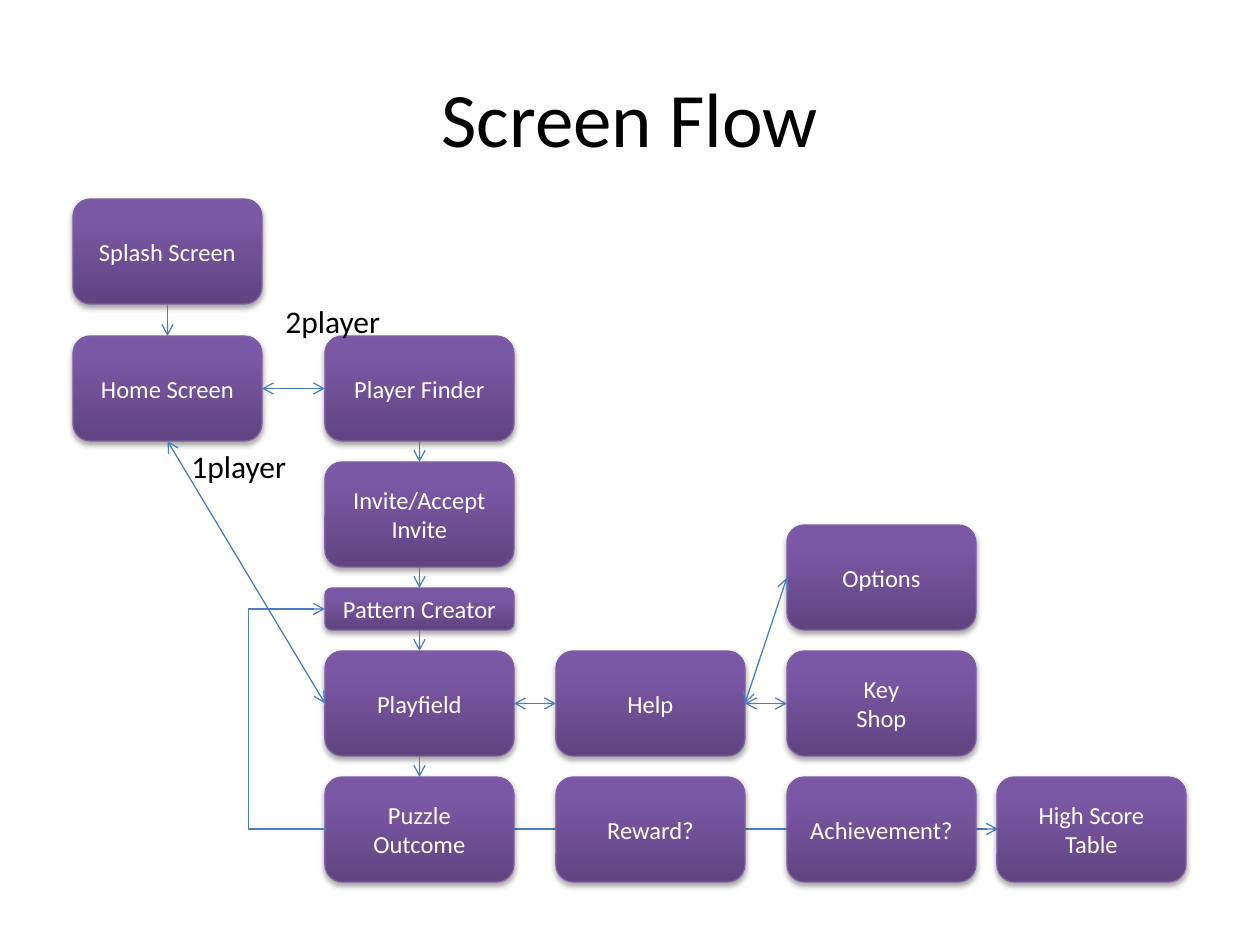
"""Build the Screen Flow slide: a grid of game screens joined by arrows."""
import pptx
import pptx.util
import pptx.dml.color
import pptx.enum.shapes
import pptx.enum.text
import pptx.oxml
import pptx.oxml.ns
import lxml.etree

PX = 914400 // 126
COLORS = {"dark": "5F4480", "mid": "7B58A6", "light": "7C57A8", "edge": "7D60A0",
          "arrow": "4B7EBC", "black": "000000", "white": "FFFFFF"}
RGB = {k: pptx.dml.color.RGBColor.from_string(v) for k, v in COLORS.items()}
NS = 'xmlns:a="http://schemas.openxmlformats.org/drawingml/2006/main"'
STOPS = "".join(f'<a:gs pos="{pos}"><a:srgbClr val="{COLORS[c]}"/></a:gs>'
                for pos, c in ((0, "dark"), (80000, "mid"), (100000, "light")))
GRADIENT = f'<a:gradFill {NS} rotWithShape="1"><a:gsLst>{STOPS}</a:gsLst><a:lin ang="16200000" scaled="0"/></a:gradFill>'
SHADOW = (f'<a:effectLst {NS}><a:outerShdw blurRad="40000" dist="23000" dir="5400000" rotWithShape="0">'
          f'<a:srgbClr val="{COLORS["black"]}"><a:alpha val="35000"/></a:srgbClr></a:outerShdw></a:effectLst>')
ALIGN = pptx.enum.text.PP_ALIGN
MIDDLE = pptx.enum.text.MSO_ANCHOR.MIDDLE
LINE = pptx.enum.shapes.MSO_CONNECTOR
TOP, LEFT, BOTTOM, RIGHT = range(4)

prs = pptx.Presentation()
prs.slide_width, prs.slide_height = pptx.util.Inches(10), pptx.util.Inches(7.5)
s = prs.slides.add_slide(prs.slide_layouts[6])


def write(sp, text, size, color, align):
    tf = sp.text_frame
    tf.word_wrap = True
    tf.text = text
    for p in tf.paragraphs:
        p.alignment = align
        p.font.name, p.font.size = "Calibri", pptx.util.Pt(size)
        p.font.color.rgb = RGB[color]
    return tf


def add_arrow(kind, x1, y1, x2, y2, both=False):
    c = s.shapes.add_connector(kind, x1 * PX, y1 * PX, x2 * PX, y2 * PX)
    c.line.color.rgb = RGB["arrow"]
    c.line.width = pptx.util.Pt(0.75)
    ln = c.line._get_or_add_ln()
    for end in ("headEnd", "tailEnd") if both else ("tailEnd",):
        lxml.etree.SubElement(ln, pptx.oxml.ns.qn("a:" + end), type="arrow")
    lxml.etree.SubElement(c._element.spPr, pptx.oxml.ns.qn("a:effectLst"))
    return c


add_arrow(LINE.STRAIGHT, 514, 829, 998, 829)

title = s.shapes.add_textbox(63 * PX, 38 * PX, 1134 * PX, 157 * PX)
write(title, "Screen Flow", 44, "black", ALIGN.CENTER).vertical_anchor = MIDDLE

BOX_W, BOX_H = 189, 105
COLS = (73, 325, 556, 787, 997)
ROWS = {"splash": 199, "home": 336, "invite": 462, "options": 525,
        "pattern": 588, "play": 651, "outcome": 777}
screens = [
    ("Home Screen", 0, "home"), ("Splash Screen", 0, "splash"),
    ("Player Finder", 1, "home"), ("Playfield", 1, "play"),
    ("Puzzle\nOutcome", 1, "outcome"), ("High Score Table", 4, "outcome"),
    ("Achievement?", 3, "outcome"), ("Reward?", 2, "outcome"),
    ("Help", 2, "play"), ("Key\nShop", 3, "play"), ("Options", 3, "options"),
    ("Invite/Accept Invite", 1, "invite"), ("Pattern Creator", 1, "pattern"),
]
boxes = {}
for text, col, row in screens:
    h = 42 if row == "pattern" else BOX_H
    sp = s.shapes.add_shape(pptx.enum.shapes.MSO_SHAPE.ROUNDED_RECTANGLE,
                            COLS[col] * PX, ROWS[row] * PX, BOX_W * PX, h * PX)
    sp.line.color.rgb = RGB["edge"]
    sp.line.width = pptx.util.Pt(0.75)
    ln = sp.line._get_or_add_ln()
    ln.addprevious(pptx.oxml.parse_xml(GRADIENT))
    ln.addnext(pptx.oxml.parse_xml(SHADOW))
    write(sp, text, 14, "white", ALIGN.CENTER).vertical_anchor = MIDDLE
    boxes[text] = sp

flows = [
    ("Splash Screen", BOTTOM, "Home Screen", TOP, False),
    ("Home Screen", RIGHT, "Player Finder", LEFT, True),
    ("Home Screen", BOTTOM, "Playfield", LEFT, True),
    ("Playfield", RIGHT, "Help", LEFT, True),
    ("Help", RIGHT, "Key\nShop", LEFT, True),
    ("Help", RIGHT, "Options", LEFT, True),
    ("Player Finder", BOTTOM, "Invite/Accept Invite", TOP, False),
    ("Invite/Accept Invite", BOTTOM, "Pattern Creator", TOP, False),
    ("Pattern Creator", BOTTOM, "Playfield", TOP, False),
    ("Playfield", BOTTOM, "Puzzle\nOutcome", TOP, False),
]
for start, start_side, end, end_side, both in flows:
    c = add_arrow(LINE.STRAIGHT, 0, 0, 0, 0, both)
    c.begin_connect(boxes[start], start_side)
    c.end_connect(boxes[end], end_side)

for text, x, y in (("1player", 179, 441), ("2player", 273, 296)):
    label = s.shapes.add_textbox(x * PX, y * PX, 147 * PX, 50 * PX)
    write(label, text, 18, "black", ALIGN.LEFT)

loop = add_arrow(LINE.ELBOW, 327, 829, 325, 609)
guides = loop._element.spPr.find(pptx.oxml.ns.qn("a:prstGeom")).get_or_add_avLst()
lxml.etree.SubElement(guides, pptx.oxml.ns.qn("a:gd"), name="adj1", fmla="val 3950000")

prs.save("out.pptx")
